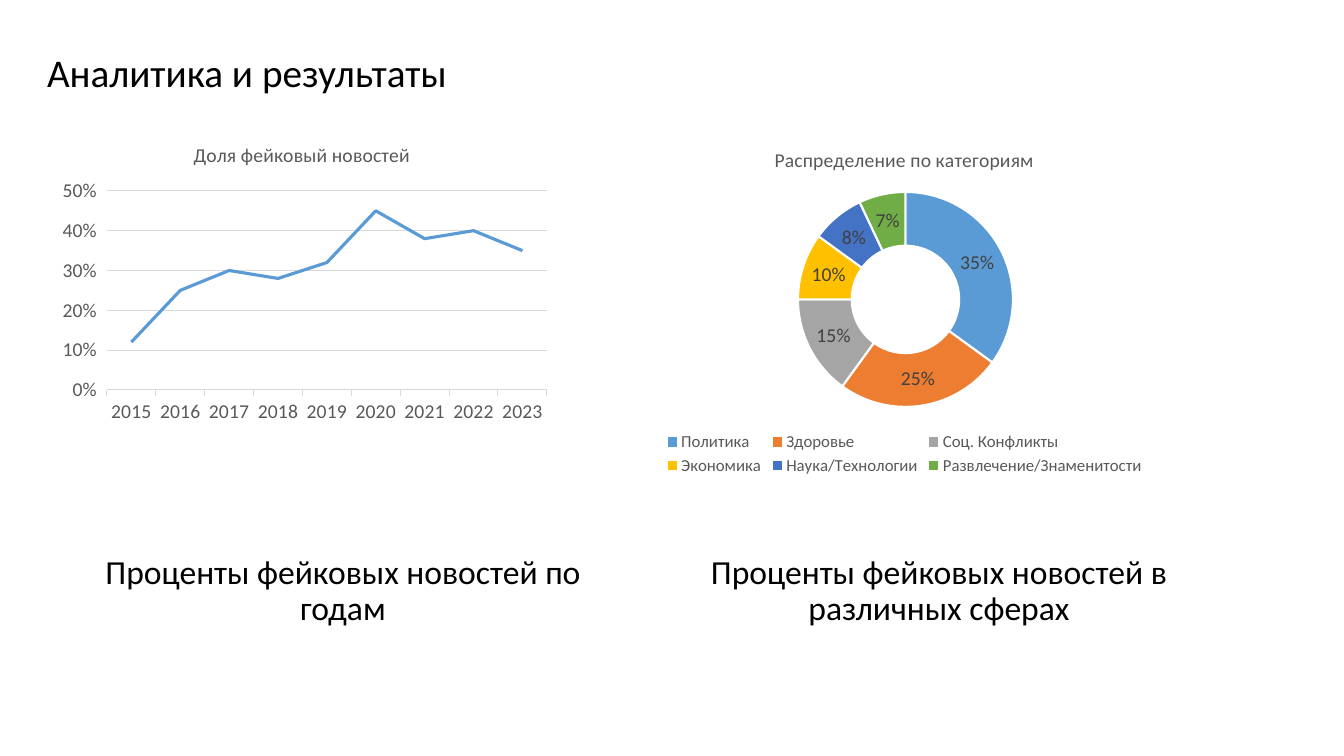
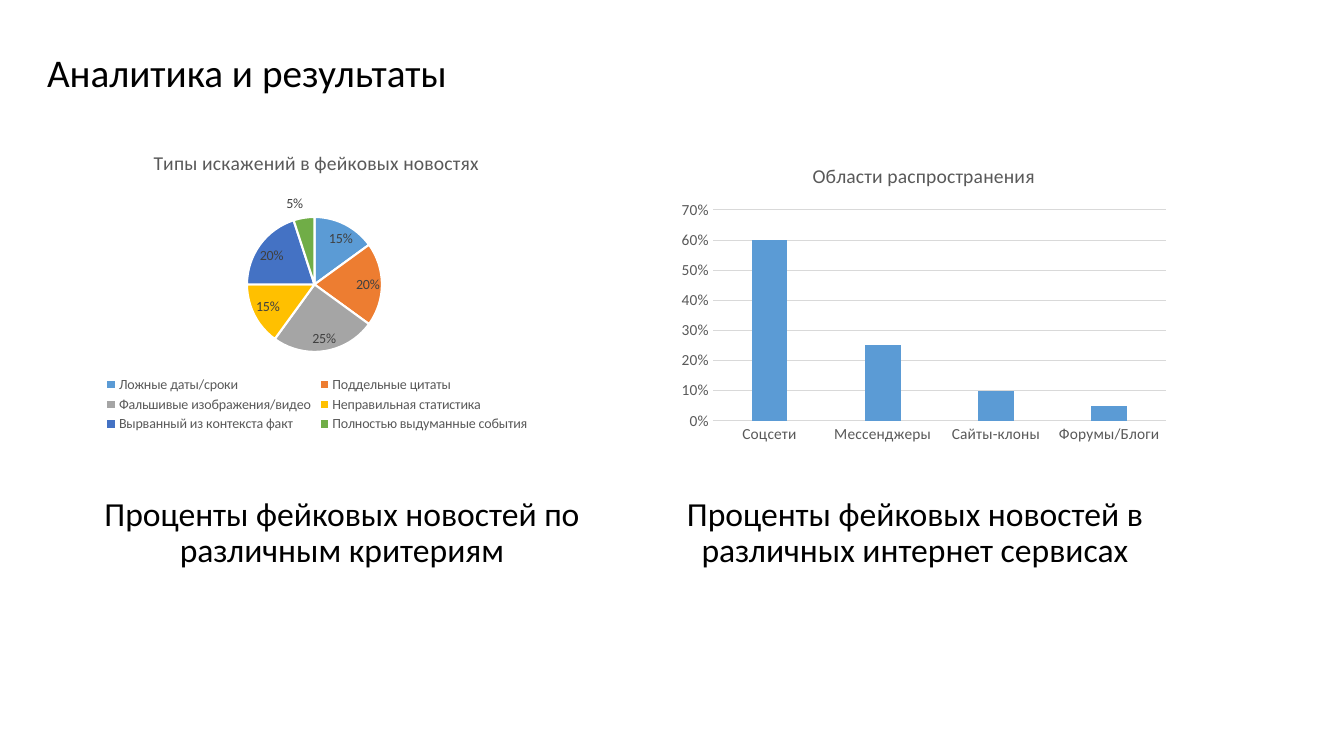
import pptx
import pptx.chart.data
import pptx.dml.color
import pptx.enum.chart
import pptx.enum.text
import pptx.oxml
import pptx.oxml.ns
import pptx.util

RGBColor = pptx.dml.color.RGBColor
BLACK = RGBColor(0x00, 0x00, 0x00)
WHITE = RGBColor(0xFF, 0xFF, 0xFF)
DARK_GREY = RGBColor(0x40, 0x40, 0x40)
GREY = RGBColor(0x59, 0x59, 0x59)
LIGHT_GREY = RGBColor(0xD9, 0xD9, 0xD9)
PALETTE = (RGBColor(0x5B, 0x9B, 0xD5), RGBColor(0xED, 0x7D, 0x31),
           RGBColor(0xA5, 0xA5, 0xA5), RGBColor(0xFF, 0xC0, 0x00),
           RGBColor(0x44, 0x72, 0xC4), RGBColor(0x70, 0xAD, 0x47),
           RGBColor(0x25, 0x5E, 0x91), RGBColor(0x9E, 0x48, 0x0E),
           RGBColor(0x63, 0x63, 0x63), RGBColor(0x99, 0x73, 0x00),
           RGBColor(0x26, 0x44, 0x78))

FONT = "Calibri"
EMU_PER_PX = 12192000 / 1344
SLIDE_SIZE = (1344, 756)
HEADING_BOX = (37, 36, 1102, 78)
CAPTION_SIZE = (568, 78)
HEADING = "Аналитика и результаты"

ALIGN = pptx.enum.text.PP_ALIGN
ANCHOR = pptx.enum.text.MSO_ANCHOR
CHART_TYPE = pptx.enum.chart.XL_CHART_TYPE
TICK_MARK = pptx.enum.chart.XL_TICK_MARK


def px(length):
    return pptx.util.Emu(round(length * EMU_PER_PX))


def set_font(font, size, color):
    font.name = FONT
    font.size = pptx.util.Pt(size)
    font.bold = False
    font.color.rgb = color


def write_text(frame, text, size, color=BLACK, align=ALIGN.LEFT, spacing=None):
    paragraph = frame.paragraphs[0]
    paragraph.alignment = align
    if spacing:
        paragraph.line_spacing = spacing
        paragraph.space_before = pptx.util.Pt(0)
    run = paragraph.add_run()
    run.text = text
    set_font(run.font, size, color)
    return paragraph


def fill_placeholder(placeholder, box, text, anchor, **text_format):
    placeholder.left, placeholder.top, placeholder.width, placeholder.height = map(px, box)
    frame = placeholder.text_frame
    frame.auto_size = pptx.enum.text.MSO_AUTO_SIZE.NONE
    frame.word_wrap = True
    frame.vertical_anchor = anchor
    return write_text(frame, text, spacing=0.9, **text_format)


def add_caption(placeholder, corner, text):
    paragraph = fill_placeholder(placeholder, (*corner, *CAPTION_SIZE), text, ANCHOR.TOP,
                                 size=24, align=ALIGN.CENTER)
    properties = paragraph._p.get_or_add_pPr()
    properties.set("marL", "0")
    properties.set("indent", "0")
    properties.append(pptx.oxml.parse_xml(
        f'<a:buNone {pptx.oxml.ns.nsdecls("a")}/>'))


def set_layout(parent, index, target="", **fractions):
    for old_layout in parent.findall(pptx.oxml.ns.qn("c:layout")):
        parent.remove(old_layout)
    modes = '<c:xMode val="edge"/><c:yMode val="edge"/>'
    values = "".join(f'<c:{key} val="{value:.4f}"/>' for key, value in fractions.items())
    parent.insert(index, pptx.oxml.parse_xml(
        f'<c:layout {pptx.oxml.ns.nsdecls("c")}><c:manualLayout>'
        f'{target}{modes}{values}</c:manualLayout></c:layout>'))


def add_chart(slide, box, kind, title, title_at, plot_box, values, series_count=1):
    data = pptx.chart.data.CategoryChartData(number_format="0%")
    data.categories = values.keys()
    data.add_series("Series 1", values.values())
    for number in range(2, series_count + 1):
        data.add_series(f"Series {number}", [None] * len(values))
    chart = slide.shapes.add_chart(kind, *map(px, box), data).chart
    set_font(chart.font, 10, BLACK)
    chart.has_legend = False
    chart.has_title = True
    write_text(chart.chart_title.text_frame, title, size=14, color=GREY, align=ALIGN.CENTER)
    width, height = box[2:]
    set_layout(chart.chart_title.element, 1, x=title_at[0] / width, y=title_at[1] / height)
    left, top, plot_width, plot_height = plot_box
    set_layout(chart.element.chart.plotArea, 0, '<c:layoutTarget val="inner"/>',
               x=left / width, y=top / height, w=plot_width / width, h=plot_height / height)
    chart.plots[0].vary_by_categories = False
    return chart


def style_axes(chart, size, maximum, tick_mark):
    for axis in (chart.category_axis, chart.value_axis):
        set_font(axis.tick_labels.font, size, GREY)
        axis.major_tick_mark = tick_mark
        axis.minor_tick_mark = TICK_MARK.NONE
    chart.category_axis.format.line.color.rgb = LIGHT_GREY
    chart.category_axis.format.line.width = pptx.util.Pt(0.75)
    scale = chart.value_axis
    scale.minimum_scale, scale.maximum_scale, scale.major_unit = 0, maximum, 0.1
    scale.tick_labels.number_format = "0%"
    scale.tick_labels.number_format_is_linked = False
    scale.format.line.fill.background()
    scale.has_major_gridlines = True
    gridline = scale.major_gridlines.format.line
    gridline.color.rgb = LIGHT_GREY
    gridline.width = pptx.util.Pt(0.75)


def add_line_chart(slide, box, **content):
    chart = add_chart(slide, box, CHART_TYPE.LINE, series_count=len(PALETTE), **content)
    style_axes(chart, 14, 0.5, TICK_MARK.OUTSIDE)
    for share, color in zip(chart.plots[0].series, PALETTE):
        share.smooth = False
        share.marker.style = pptx.enum.chart.XL_MARKER_STYLE.NONE
        share.format.line.color.rgb = color
        share.format.line.width = pptx.util.Pt(2.25)


def add_column_chart(slide, box, **content):
    chart = add_chart(slide, box, CHART_TYPE.COLUMN_STACKED,
                      series_count=len(PALETTE), **content)
    style_axes(chart, 11, 0.7, TICK_MARK.NONE)
    columns = chart.plots[0]
    columns.gap_width, columns.overlap = 219, 100
    for share, color in zip(columns.series, PALETTE):
        share.format.fill.solid()
        share.format.fill.fore_color.rgb = color


def add_sector_chart(slide, box, kind, legend_size, label_size, values, **content):
    chart = add_chart(slide, box, kind, values=values, **content)
    chart.has_legend = True
    chart.legend.position = pptx.enum.chart.XL_LEGEND_POSITION.BOTTOM
    chart.legend.include_in_layout = False
    set_font(chart.legend.font, legend_size, GREY)
    plot = chart.plots[0]
    plot.vary_by_categories = True
    for index, color in enumerate(PALETTE[:len(values)]):
        sector = plot.series[0].points[index].format
        sector.fill.solid()
        sector.fill.fore_color.rgb = color
        sector.line.color.rgb = WHITE
        sector.line.width = pptx.util.Pt(1.5)
    labels = plot.series[0].data_labels
    set_font(labels.font, label_size, DARK_GREY)
    labels.number_format = "0%"
    labels.number_format_is_linked = False
    labels.show_value = True
    if kind == CHART_TYPE.PIE:
        labels.position = pptx.enum.chart.XL_LABEL_POSITION.BEST_FIT
    for hole in chart.element.iter(pptx.oxml.ns.qn("c:holeSize")):
        hole.set("val", "75")


def add_analytics_slide(presentation, captions):
    slide = presentation.slides.add_slide(presentation.slide_layouts[3])
    heading, *caption_holders = slide.placeholders
    fill_placeholder(heading, HEADING_BOX, HEADING, ANCHOR.MIDDLE, size=28)
    for holder, (corner, text) in zip(caption_holders, captions):
        add_caption(holder, corner, text)
    return slide


def build_years_and_topics(presentation):
    slide = add_analytics_slide(presentation, [
        ((59, 550), "Проценты фейковых новостей по годам"),
        ((655, 550), "Проценты фейковых новостей в различных сферах")])
    shares = (0.12, 0.25, 0.3, 0.28, 0.32, 0.45, 0.38, 0.4, 0.35)
    add_line_chart(
        slide, (52, 127, 504, 302), title="Доля фейковый новостей",
        title_at=(138, 11), plot_box=(55, 64, 440, 199),
        values={str(year): share for year, share in enumerate(shares, 2015)})
    add_sector_chart(
        slide, (556, 131, 697, 349), CHART_TYPE.DOUGHNUT, 12, 14,
        title="Распределение по категориям",
        title_at=(215, 12), plot_box=(242, 61, 215, 215),
        values={"Политика": 0.35, "Здоровье": 0.25, "Соц. Конфликты": 0.15,
                "Экономика": 0.1, "Наука/Технологии": 0.08,
                "Развлечение/Знаменитости": 0.07})


def build_distortions_and_channels(presentation):
    slide = add_analytics_slide(presentation, [
        ((58, 492), "Проценты фейковых новостей по различным критериям"),
        ((631, 492), "Проценты фейковых новостей в различных интернет сервисах")])
    add_sector_chart(
        slide, (65, 134, 504, 302), CHART_TYPE.PIE, 10, 10,
        title="Типы искажений в фейковых новостях",
        title_at=(85, 12), plot_box=(182, 83, 135, 135),
        values={"Ложные даты/сроки": 0.15, "Поддельные цитаты": 0.2,
                "Фальшивые изображения/видео": 0.25, "Неправильная статистика": 0.15,
                "Вырванный из контекста факт": 0.2, "Полностью выдуманные события": 0.05})
    add_column_chart(
        slide, (672, 148, 504, 302), title="Области распространения",
        title_at=(137, 11), plot_box=(41, 62, 453, 211),
        values={"Соцсети": 0.6, "Мессенджеры": 0.25, "Сайты-клоны": 0.1,
                "Форумы/Блоги": 0.05})


def main():
    presentation = pptx.Presentation()
    presentation.slide_width, presentation.slide_height = map(px, SLIDE_SIZE)
    build_years_and_topics(presentation)
    build_distortions_and_channels(presentation)
    presentation.save("out.pptx")


if __name__ == "__main__":
    main()
